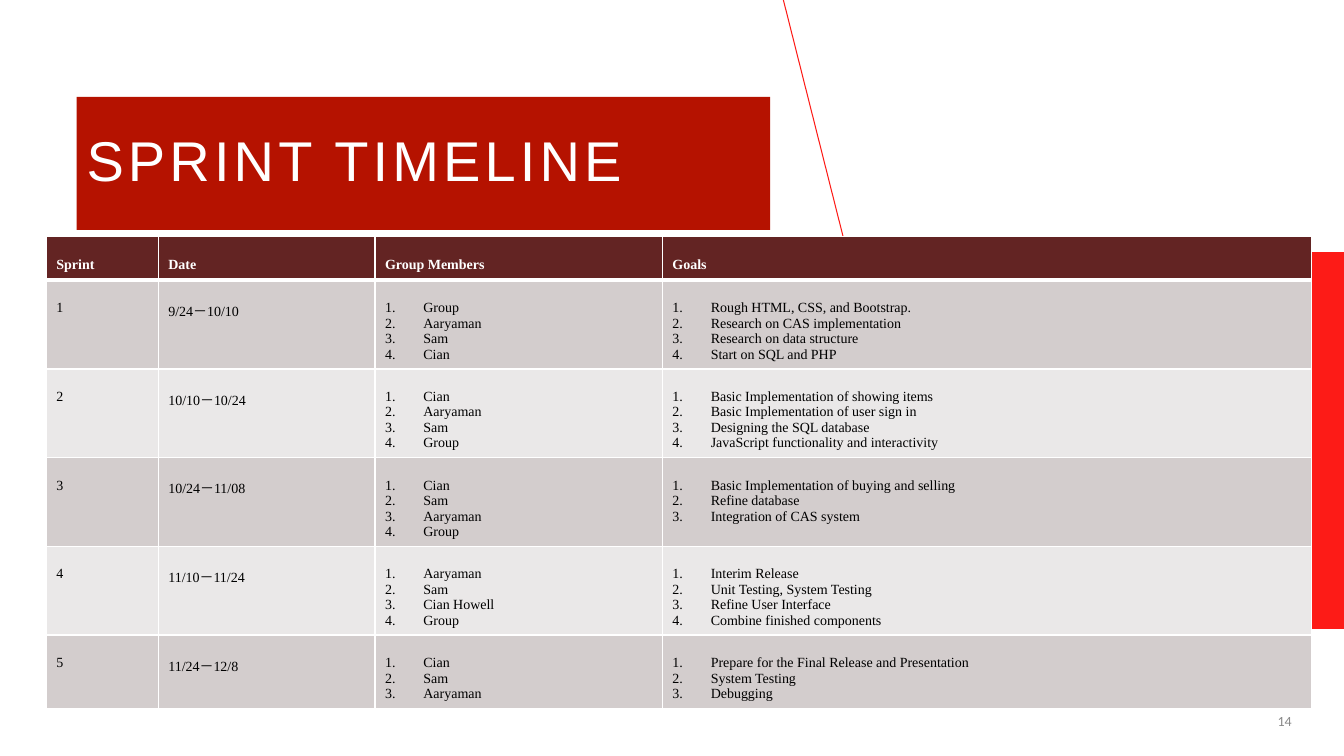
from lxml import etree
from pptx import Presentation
from pptx.dml.color import RGBColor
from pptx.enum.shapes import MSO_CONNECTOR, MSO_SHAPE
from pptx.enum.text import MSO_ANCHOR, PP_ALIGN
from pptx.oxml.ns import qn
from pptx.util import Inches, Pt

RECTANGLE = MSO_SHAPE.RECTANGLE
STRAIGHT = MSO_CONNECTOR.STRAIGHT
MIDDLE = MSO_ANCHOR.MIDDLE
LEFT = PP_ALIGN.LEFT
RIGHT = PP_ALIGN.RIGHT

WHITE = RGBColor(0xFF, 0xFF, 0xFF)
BLACK = RGBColor(0x00, 0x00, 0x00)
GRAY = RGBColor(0x89, 0x89, 0x89)
DARK_RED = RGBColor(0xB5, 0x12, 0x00)
BRIGHT_RED = RGBColor(0xFD, 0x1B, 0x17)
MAROON = RGBColor(0x63, 0x24, 0x23)
BANDS = (RGBColor(0xD3, 0xCD, 0xCD), RGBColor(0xEA, 0xE8, 0xE8))

COLUMN_WIDTHS = (1.11, 2.15, 2.85, 6.44)
ROW_HEIGHTS = (0.43, 0.88, 0.88, 0.88, 0.88, 0.73)
HEADERS = ("Sprint", "Date", "Group Members", "Goals")
SPRINTS = (
    ("9/24－10/10",
     ("Group", "Aaryaman", "Sam", "Cian"),
     ("Rough HTML, CSS, and Bootstrap.", "Research on CAS implementation",
      "Research on data structure", "Start on SQL and PHP")),
    ("10/10－10/24",
     ("Cian", "Aaryaman", "Sam", "Group"),
     ("Basic Implementation of showing items", "Basic Implementation of user sign in",
      "Designing the SQL database", "JavaScript functionality and interactivity")),
    ("10/24－11/08",
     ("Cian", "Sam", "Aaryaman", "Group"),
     ("Basic Implementation of buying and selling", "Refine database",
      "Integration of CAS system")),
    ("11/10－11/24",
     ("Aaryaman", "Sam", "Cian Howell", "Group"),
     ("Interim Release", "Unit Testing, System Testing",
      "Refine User Interface", "Combine finished components")),
    ("11/24－12/8",
     ("Cian", "Sam", "Aaryaman"),
     ("Prepare for the Final Release and Presentation", "System Testing", "Debugging")),
)


def add_run(paragraph, text, font_name, size, color, bold=False):
    """Add one formatted run and return it."""
    run = paragraph.add_run()
    run.text = text
    run.font.name = font_name
    run.font.size = Pt(size)
    run.font.color.rgb = color
    run.font.bold = bold
    return run


def add_rectangle(slide, left, top, width, height):
    """Add a rectangle without line or shadow."""
    shape = slide.shapes.add_shape(
        RECTANGLE, Inches(left), Inches(top), Inches(width), Inches(height))
    shape.shadow.inherit = False
    shape.line.fill.background()
    return shape


def add_backdrop(slide, left, top, width, height):
    """Add the gradient band and the slanted line behind the content."""
    band = add_rectangle(slide, left, top, width, height)
    band.fill.gradient()
    band.fill.gradient_angle = 0
    for stop, color, position in zip(
            band.fill.gradient_stops, (DARK_RED, BRIGHT_RED), (0, 1)):
        stop.color.rgb = color
        stop.position = position
    slant = slide.shapes.add_connector(
        STRAIGHT, Inches(left + 7.01), Inches(0),
        Inches(left + 8.69), Inches(top + 4.16))
    slant.line.color.rgb = BRIGHT_RED
    slant.line.width = Pt(0.75)
    etree.SubElement(slant._element.spPr, qn("a:effectLst"))


def add_title(slide, left, top, width, height):
    """Add the title on its red block."""
    block = add_rectangle(slide, left, top, width, height)
    block.fill.solid()
    block.fill.fore_color.rgb = DARK_RED
    frame = block.text_frame
    frame.word_wrap = True
    frame.vertical_anchor = MIDDLE
    paragraph = frame.paragraphs[0]
    paragraph.alignment = LEFT
    paragraph.line_spacing = 0.9
    run = add_run(paragraph, "SPRINT TIMELINE", "Arial", 40, WHITE)
    run.font._element.set("spc", "300")


def add_slide_number(slide, left, top, width, height):
    """Add the slide number, aligned right."""
    box = slide.shapes.add_textbox(
        Inches(left), Inches(top), Inches(width), Inches(height))
    frame = box.text_frame
    frame.word_wrap = True
    frame.vertical_anchor = MIDDLE
    paragraph = frame.paragraphs[0]
    paragraph.alignment = RIGHT
    add_run(paragraph, "14", "Calibri", 10, GRAY)


def set_borders(cell, bottom_width):
    """Draw white borders around a cell."""
    properties = cell._tc.get_or_add_tcPr()
    for side, width in (("L", 1), ("R", 1), ("T", 1), ("B", bottom_width)):
        line = etree.SubElement(properties, qn(f"a:ln{side}"), w=str(Pt(width)))
        fill = etree.SubElement(line, qn("a:solidFill"))
        etree.SubElement(fill, qn("a:srgbClr"), val=str(WHITE))


def number_paragraph(paragraph):
    """Give a paragraph automatic numbering with a hanging indent."""
    properties = paragraph._p.get_or_add_pPr()
    properties.set("marL", str(Inches(0.38)))
    properties.set("indent", str(Inches(-0.38)))
    etree.SubElement(properties, qn("a:buFont"), typeface="+mj-lt")
    etree.SubElement(properties, qn("a:buAutoNum"), type="arabicPeriod")


def fill_cell(cell, content, fill_color, text_color, header):
    """Fill a cell with a line of text or, from a tuple, a numbered list."""
    set_borders(cell, 3 if header else 1)
    cell.fill.solid()
    cell.fill.fore_color.rgb = fill_color
    cell.margin_top = Inches(0.2)
    cell.margin_bottom = Inches(0)
    numbered = isinstance(content, tuple)
    frame = cell.text_frame
    for index, text in enumerate(content if numbered else (content,)):
        paragraph = frame.add_paragraph() if index else frame.paragraphs[0]
        if numbered:
            number_paragraph(paragraph)
        add_run(paragraph, text, "Times New Roman", 10, text_color, header)


def add_timeline(slide, left, top):
    """Add the sprint table with a header row and banded rows."""
    table = slide.shapes.add_table(
        len(ROW_HEIGHTS), len(COLUMN_WIDTHS), Inches(left), Inches(top),
        Inches(sum(COLUMN_WIDTHS)), Inches(sum(ROW_HEIGHTS))).table
    for column, width in zip(table.columns, COLUMN_WIDTHS):
        column.width = Inches(width)
    for row, height in zip(table.rows, ROW_HEIGHTS):
        row.height = Inches(height)
    for index, header in enumerate(HEADERS):
        fill_cell(table.cell(0, index), header, MAROON, WHITE, True)
    for number, sprint in enumerate(SPRINTS, 1):
        band = BANDS[(number - 1) % 2]
        for index, content in enumerate((str(number), *sprint)):
            fill_cell(table.cell(number, index), content, band, BLACK, False)


def main():
    """Build and save the slide."""
    presentation = Presentation()
    presentation.slide_width = Inches(13.33)
    presentation.slide_height = Inches(7.5)
    slide = presentation.slides.add_slide(presentation.slide_layouts[6])
    add_backdrop(slide, 0.76, 2.5, 12.57, 3.74)
    add_title(slide, 0.76, 0.96, 6.88, 1.32)
    add_timeline(slide, 0.46, 2.35)
    add_slide_number(slide, 11.23, 6.95, 1.68, 0.4)
    presentation.save("out.pptx")


if __name__ == "__main__":
    main()
